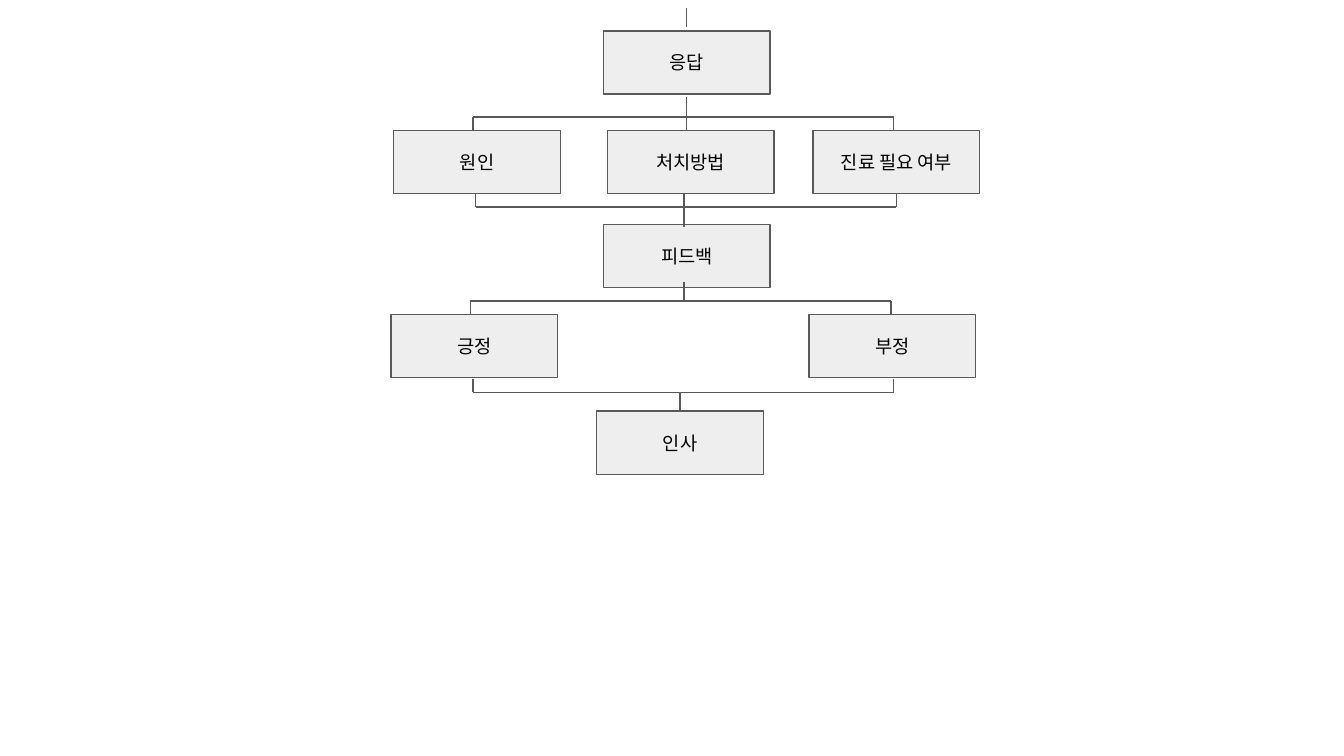
from pptx import Presentation
from pptx.dml.color import RGBColor
from pptx.enum.shapes import MSO_CONNECTOR as Link, MSO_SHAPE as Preset
from pptx.enum.text import MSO_ANCHOR as Anchor, PP_ALIGN as Align
from pptx.oxml.ns import qn
from pptx.util import Inches, Pt
from lxml.etree import SubElement

COLORS = {"box": "EEEEEE", "line": "595959", "text": "000000"}

# Grid of 100 columns by 56.25 rows, each cell 0.1 inch square
COLUMNS, ROWS, CELL = 100, 56.25, 0.1
STEP_WIDTH, STEP_HEIGHT = 12.4, 4.7

# Each step: label, left column, top row
STEPS = [
    ("응답", 44.9, 2.3),
    ("원인", 29.3, 9.7),
    ("처치방법", 45.2, 9.7),
    ("진료 필요 여부", 60.5, 9.7),
    ("피드백", 44.9, 16.7),
    ("긍정", 29.1, 23.4),
    ("부정", 60.2, 23.4),
    ("인사", 44.4, 30.6),
]

# Each bracket: bar row, branch columns, branch end row, stem column, stem end row
BRACKETS = [
    (8.7, (35.2, 51.1, 66.5), 9.7, 51.1, 7.2),
    (15.4, (35.4, 50.9, 66.7), 14.4, 50.9, 16.9),
    (22.4, (35, 66.3), 23.4, 50.9, 21),
    (29.2, (35.2, 66.5), 28.2, 50.6, 30.6),
]


def grid(cells):
    return Inches(cells * CELL)


def color(name):
    return RGBColor.from_string(COLORS[name])


def style_line(line):
    line.color.rgb = color("line")
    line.width = Pt(0.75)


def write(frame, text, size=10, font="Arial", ink="text", align=Align.CENTER):
    frame.word_wrap = True
    frame.vertical_anchor = Anchor.MIDDLE
    frame.margin_left = frame.margin_right = grid(1)
    frame.margin_top = frame.margin_bottom = grid(1)
    paragraph = frame.paragraphs[0]
    paragraph.alignment = align
    run = paragraph.add_run()
    run.text = text
    run.font.size = Pt(size)
    run.font.name = font
    run.font.color.rgb = color(ink)


def add_step(slide, label, column, row):
    step = slide.shapes.add_shape(Preset.RECTANGLE, grid(column), grid(row),
                                  grid(STEP_WIDTH), grid(STEP_HEIGHT))
    step.shadow.inherit = False
    step.fill.solid()
    step.fill.fore_color.rgb = color("box")
    style_line(step.line)
    write(step.text_frame, label)


def add_link(slide, start, end):
    link = slide.shapes.add_connector(Link.STRAIGHT, *map(grid, start + end))
    style_line(link.line)
    SubElement(link._element.spPr, qn("a:effectLst"))


def add_bracket(slide, bar, branches, branch_end, stem, stem_end):
    for branch in branches:
        add_link(slide, (branch, branch_end), (branch, bar))
    add_link(slide, (branches[0], bar), (branches[-1], bar))
    add_link(slide, (stem, bar), (stem, stem_end))


def main():
    deck = Presentation()
    deck.slide_width, deck.slide_height = grid(COLUMNS), grid(ROWS)
    slide = deck.slides.add_slide(deck.slide_layouts[6])

    # Steps of the conversation
    for step in STEPS:
        add_step(slide, *step)

    # Entry line, then the brackets between levels
    add_link(slide, (51.1, 2), (51.1, 0.6))
    for bracket in BRACKETS:
        add_bracket(slide, *bracket)

    deck.save("out.pptx")


main()
